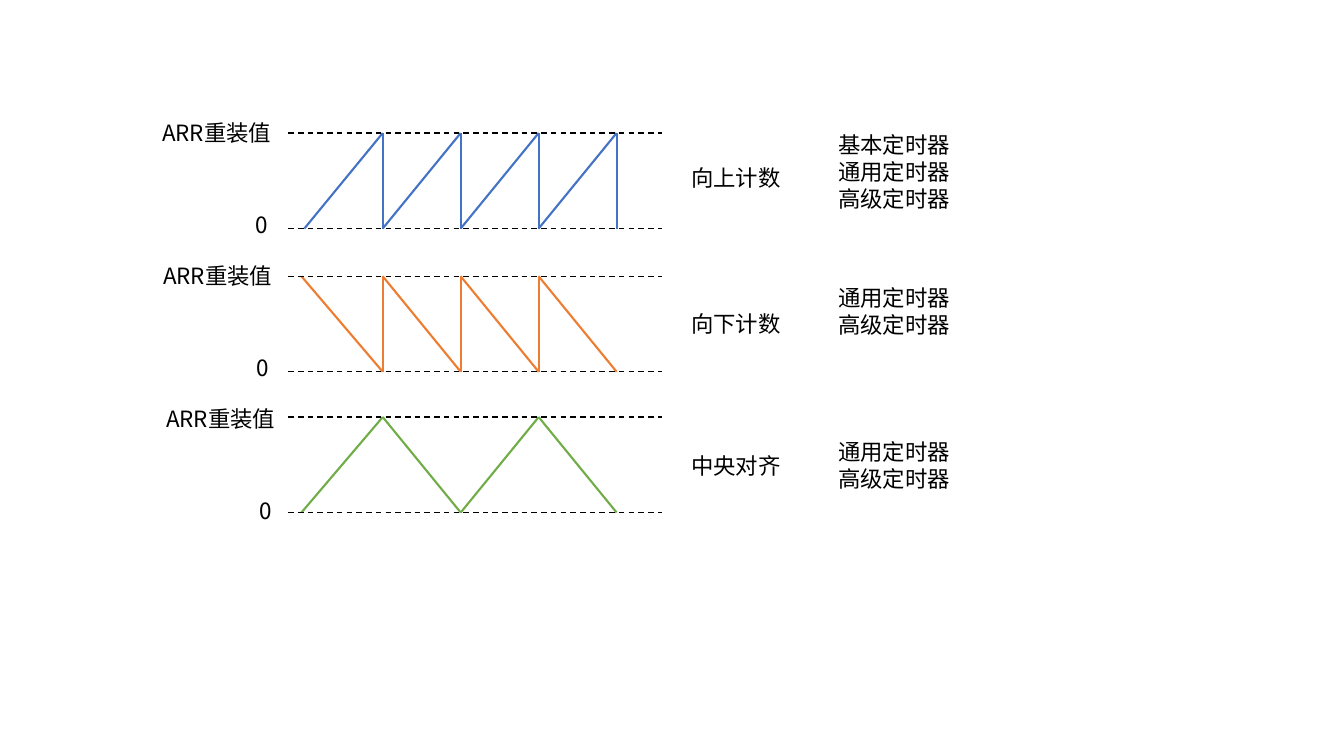
"""Draw the three timer counting modes as wave panels with their labels."""
from dataclasses import dataclass
from itertools import pairwise

from lxml import etree
from pptx import Presentation
from pptx import util as u
from pptx.dml.color import RGBColor
from pptx.enum import dml, shapes, text
from pptx.oxml import ns


@dataclass(frozen=True)
class Theme:
    ink: str = "000000"
    blue: str = "4472C4"
    orange: str = "ED7D31"
    green: str = "70AD47"
    font: str = "Noto Sans CJK SC"
    size: float = 16
    lead: float = 19.3
    thin: float = 1
    thick: float = 1.5


@dataclass(frozen=True)
class Grid:
    wide: float = 13.33
    high: float = 7.5
    first: float = 28.48
    step: float = 5.8
    rise: float = 12.63

    def x(self, share: float) -> int:
        return u.Inches(self.wide * share / 100)

    def y(self, share: float) -> int:
        return u.Inches(self.high * share / 100)

    def col(self, num: int, start: float) -> float:
        return self.first + (num - 1) * self.step if num else start


@dataclass(frozen=True)
class Panel:
    name: str
    timers: list[str]
    color: str
    wave: list[tuple[int, int]]
    top: float
    start: float
    label: float
    title: float


THEME = Theme()
GRID = Grid()
UP = [(0, 0)] + [(num, level) for num in range(1, 5) for level in (1, 0)]
DOWN = [(0, 1)] + [(num, level) for num in range(1, 4) for level in (0, 1)] + [(4, 0)]
CENTER = [(num, num % 2) for num in range(5)]
BASIC, COMMON, SENIOR = "基本定时器", "通用定时器", "高级定时器"
PANELS = [
    Panel("向上计数", [BASIC, COMMON, SENIOR], THEME.blue, UP, 17.6, 22.65, 11.33, 21.07),
    Panel("向下计数", [COMMON, SENIOR], THEME.orange, DOWN, 36.55, 22.43, 11.4, 40.4),
    Panel("中央对齐", [COMMON, SENIOR], THEME.green, CENTER, 55.17, 22.43, 11.63, 59.07),
]


def line(slide, x1: float, y1: float, x2: float, y2: float, color: str,
         width: float, dash: bool = False) -> None:
    item = slide.shapes.add_connector(
        shapes.MSO_CONNECTOR.STRAIGHT, GRID.x(x1), GRID.y(y1), GRID.x(x2), GRID.y(y2))
    item.line.color.rgb = RGBColor.from_string(color)
    item.line.width = u.Pt(width)
    if dash:
        item.line.dash_style = dml.MSO_LINE.DASH
    etree.SubElement(item._element.spPr, ns.qn("a:effectLst"))


def write(slide, x: float, y: float, width: float, rows: list[str]) -> None:
    height = 1.33 + 3.6 * len(rows)
    box = slide.shapes.add_textbox(GRID.x(x), GRID.y(y), GRID.x(width), GRID.y(height))
    frame = box.text_frame
    frame.word_wrap = True
    frame.text = "\n".join(rows)
    for para in frame.paragraphs:
        para.alignment = text.PP_ALIGN.CENTER
        para.line_spacing = u.Pt(THEME.lead)
        para.font.name = THEME.font
        para.font.size = u.Pt(THEME.size)
        para.font.color.rgb = RGBColor.from_string(THEME.ink)


def draw(slide, panel: Panel, index: int) -> None:
    base = panel.top + GRID.rise
    points = [(GRID.col(num, panel.start), base - level * GRID.rise)
              for num, level in panel.wave]
    for head, tail in pairwise(points):
        line(slide, *head, *tail, panel.color, THEME.thick)
    for level in (panel.top, base):
        line(slide, 21.45, level, 49.28, level, THEME.ink, THEME.thin, dash=True)
    label = 15.07 + 18.93 * index
    write(slide, panel.label, label, 9.6, ["ARR重装值"])
    write(slide, panel.label + 6.93, label + 12.2, 2.4, ["0"])
    write(slide, 50.48, panel.title, 8.55, [panel.name])
    write(slide, 61.58, 16.67 + 20.27 * index, 9.9, panel.timers)


def main() -> None:
    deck = Presentation()
    deck.slide_width, deck.slide_height = GRID.x(100), GRID.y(100)
    slide = deck.slides.add_slide(deck.slide_layouts[6])
    for index, panel in enumerate(PANELS):
        draw(slide, panel, index)
    deck.save("out.pptx")


if __name__ == "__main__":
    main()
